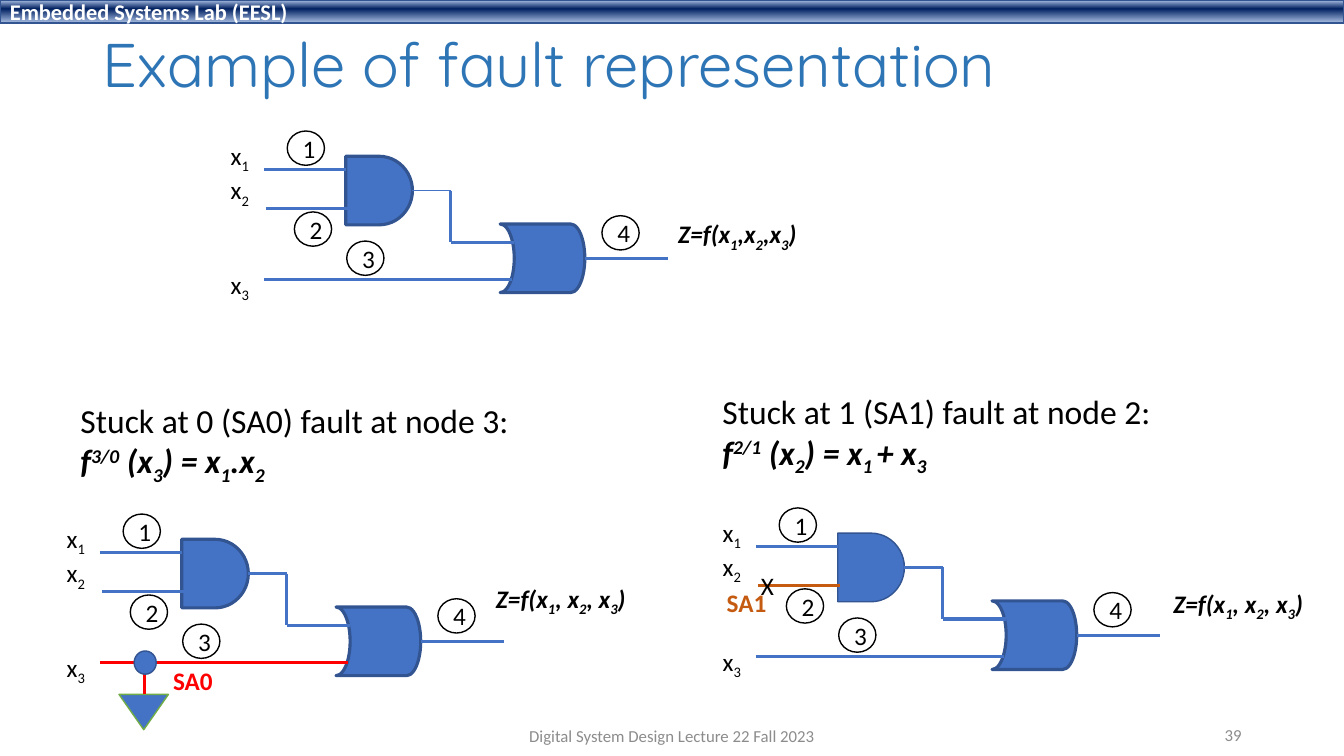
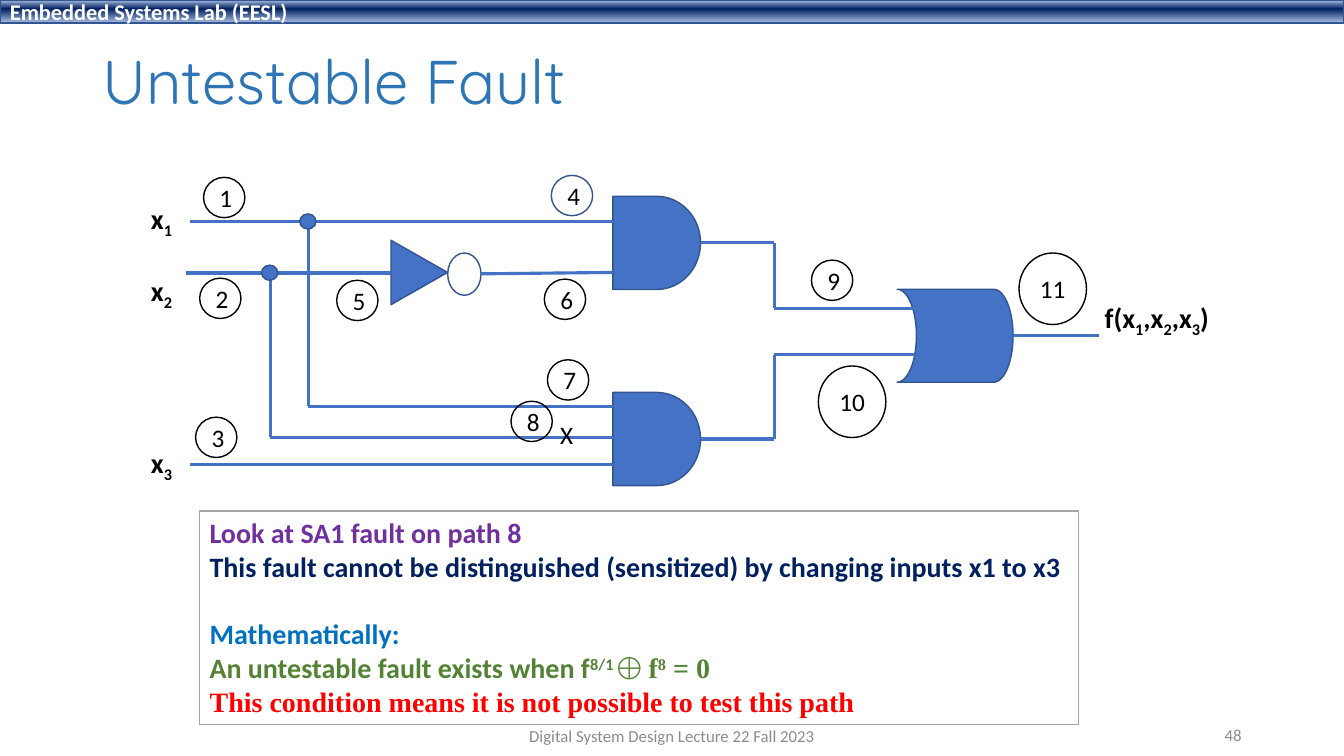
"""Build two slides on stuck-at faults in logic circuits."""
from copy import deepcopy
from dataclasses import dataclass
from itertools import pairwise
from typing import NamedTuple, Optional

from lxml import etree
from pptx import Presentation
from pptx import util as u
from pptx.dml.color import RGBColor
from pptx.enum import dml, shapes, text
from pptx.oxml import ns

Pt = u.Pt
Preset = shapes.MSO_SHAPE
BLUE = RGBColor(0x44, 0x72, 0xC4)
OUTLINE = RGBColor(0x32, 0x54, 0x91)
TITLE_BLUE = RGBColor(0x2E, 0x75, 0xB6)
BLACK = RGBColor(0, 0, 0)
WHITE = RGBColor(0xFF, 0xFF, 0xFF)
RED = RGBColor(0xFF, 0, 0)
ORANGE = RGBColor(0xC5, 0x5A, 0x11)
GREEN = RGBColor(0x54, 0x82, 0x35)
LIGHT_GREEN = RGBColor(0x70, 0xAD, 0x47)
PURPLE = RGBColor(0x70, 0x30, 0xA0)
NAVY = RGBColor(0, 0x20, 0x60)
SKY = RGBColor(0, 0x70, 0xC0)
GREY = RGBColor(0x8C, 0x8C, 0x8C)
FRAME_GREY = RGBColor(0xA5, 0xA5, 0xA5)
BAND_TOP = RGBColor(0xAB, 0xC0, 0xE4)
BAND_BOTTOM = RGBColor(0xAC, 0xC1, 0xE5)
BAND_STOPS = ((0, BAND_TOP), (0.38, NAVY), (1, BAND_BOTTOM))
BODY_FONT, TITLE_FONT, MATH_FONT = "Calibri", "Quicksand", "Times New Roman"
WIDTH, HEIGHT = 960, 540
BASELINES = {"_": "-25000", "^": "30000"}


class Box(NamedTuple):
    """Left, top, width and height in points."""
    left: float
    top: float
    width: float
    height: float

    def lengths(self) -> list:
        """Return the four values as lengths."""
        return [Pt(value) for value in self]


@dataclass(frozen=True)
class Line:
    """A paragraph; "|" parts runs, "_" lowers and "^" raises one."""
    content: str
    size: float = 18
    colour: RGBColor = BLACK
    bold: bool = False
    italic: bool = False
    before: float = 0
    font: str = BODY_FONT
    math_from: Optional[int] = None


@dataclass(frozen=True)
class Circuit:
    """An AND gate feeding an OR gate, placed by the corner of the AND gate."""
    left: float
    top: float
    output: str
    output_left: float
    output_top: float
    output_width: float
    and_outline: float = 2.25
    and_wire: float = 2.25
    wire_2: RGBColor = BLUE
    wire_3: RGBColor = BLUE


CIRCUITS = (
    Circuit(247, 111.6, "Z=f(x|_1|,x|_2|,x|_3|)", 230.4, 41, 103, and_wire=0.5),
    Circuit(129.8, 385.2, "Z=f(x|_1|, x|_2|, x|_3|)", 217.4, 28, 111, wire_3=RED),
    Circuit(598.4, 380.8, "Z=f(x|_1|, x|_2|, x|_3|)", 232.6, 36, 111,
            and_outline=1, wire_2=ORANGE),
)
CIRCUIT_NODES = ((-41.8, -18), (-36.7, 39.8), (0.7, 60.6), (183, 42.5))
NODES = {
    "1": (145.4, 126.7), "2": (142.6, 198.7), "3": (139.7, 298),
    "4": (393.8, 125.3), "5": (240.5, 200.2), "6": (388.8, 199.4),
    "7": (391, 257), "8": (365, 286.6), "9": (579.6, 185.8),
    "10": (584.6, 261.4), "11": (727.9, 180.7),
}


def write(frame, lines: list[Line], align=text.PP_ALIGN.LEFT) -> None:
    """Fill a text frame with formatted lines."""
    for index, line in enumerate(lines):
        paragraph = frame.add_paragraph() if index else frame.paragraphs[0]
        paragraph.alignment = align
        if line.before:
            paragraph.space_before = Pt(line.before)
        font = paragraph.font
        font.name, font.size = line.font, Pt(line.size)
        font.bold, font.italic = line.bold, line.italic
        font.color.rgb = line.colour
        for position, part in enumerate(line.content.split("|")):
            run = paragraph.add_run()
            run.text = part.lstrip("_^")
            if part[0] in BASELINES:
                run._r.get_or_add_rPr().set("baseline", BASELINES[part[0]])
            if line.math_from is not None and position >= line.math_from:
                run.font.name = MATH_FONT


def add_text(slide, box: Box, *lines: Line):
    """Add a text box that fits its unwrapped lines."""
    shape = slide.shapes.add_textbox(*box.lengths())
    write(shape.text_frame, lines)
    shape.text_frame.word_wrap = False
    shape.text_frame.auto_size = text.MSO_AUTO_SIZE.SHAPE_TO_FIT_TEXT
    return shape


def add_shape(slide, preset, box: Box, fill: Optional[RGBColor] = BLUE,
              outline: RGBColor = OUTLINE, weight: float = 1, rotation: float = 0):
    """Add a flat preset shape."""
    shape = slide.shapes.add_shape(preset, *box.lengths())
    shape.shadow.inherit = False
    shape.rotation = rotation
    if fill is None:
        shape.fill.background()
    else:
        shape.fill.solid()
        shape.fill.fore_color.rgb = fill
    shape.line.color.rgb = outline
    shape.line.width = Pt(weight)
    return shape


def add_node(slide, label: str, box: Box, outline: RGBColor = BLACK) -> None:
    """Add a numbered circle."""
    shape = add_shape(slide, Preset.OVAL, box, None, outline)
    shape.text_frame.vertical_anchor = text.MSO_ANCHOR.MIDDLE
    write(shape.text_frame, [Line(label)], text.PP_ALIGN.CENTER)


def add_wire(slide, *points: tuple[float, float], colour: RGBColor = BLUE,
             weight: float = 2.25, gate=None) -> None:
    """Draw straight segments through points, leaving a gate if one is given."""
    for index, (start, end) in enumerate(pairwise(points)):
        connector = slide.shapes.add_connector(
            shapes.MSO_CONNECTOR.STRAIGHT, *(Pt(value) for value in start + end))
        connector.line.color.rgb = colour
        connector.line.width = Pt(weight)
        etree.SubElement(connector.element.spPr, ns.qn("a:effectLst"))
        if gate is not None and index == 0:
            connector.begin_connect(gate, 3)


def add_band(slide) -> None:
    """Add the header band with its vertical gradient."""
    band = add_shape(slide, Preset.RECTANGLE, Box(0, 0, WIDTH, 16.6))
    band.fill.gradient()
    band.fill.gradient_angle = 270
    stop_list = band.element.spPr.find(f".//{ns.qn('a:gsLst')}")
    stop_list.append(deepcopy(stop_list[-1]))
    for stop, (position, colour) in zip(band.fill.gradient_stops, BAND_STOPS):
        stop.position = position
        stop.color.rgb = colour
    band.text_frame.vertical_anchor = text.MSO_ANCHOR.MIDDLE
    write(band.text_frame, [Line("Embedded Systems Lab (EESL)", 16, WHITE, True)])


def add_footer(slide, box: Box, content: str, align) -> None:
    """Add a grey footer text."""
    frame = slide.shapes.add_textbox(*box.lengths()).text_frame
    frame.word_wrap = True
    frame.vertical_anchor = text.MSO_ANCHOR.MIDDLE
    write(frame, [Line(content, 12, GREY)], align)


def start_slide(presentation, title: str, box: Box, number: str):
    """Add a slide with band, title and footers."""
    slide = presentation.slides.add_slide(presentation.slide_layouts[5])
    add_band(slide)
    heading = slide.shapes.title
    heading.left, heading.top, heading.width, heading.height = box.lengths()
    frame = heading.text_frame
    frame.auto_size = text.MSO_AUTO_SIZE.NONE
    frame.vertical_anchor = text.MSO_ANCHOR.MIDDLE
    write(frame, [Line(title, 44, TITLE_BLUE, font=TITLE_FONT)])
    frame.paragraphs[0].line_spacing = 0.9
    add_footer(slide, Box(318, 511, 324, 28.8),
               "Digital System Design Lecture 22 Fall 2023", text.PP_ALIGN.CENTER)
    add_footer(slide, Box(678, 510.5, 216, 28.8), number, text.PP_ALIGN.RIGHT)
    return slide


def draw_circuit(slide, circuit: Circuit) -> None:
    """Draw one AND-OR circuit with its labels."""
    def at(left: float, top: float) -> tuple[float, float]:
        return circuit.left + left, circuit.top + top

    gate = add_shape(slide, Preset.FLOWCHART_DELAY, Box(*at(0, 0), 47.6, 49),
                     weight=circuit.and_outline)
    add_shape(slide, Preset.FLOWCHART_STORED_DATA, Box(*at(110.2, 48.4), 60.5, 49),
              weight=2.25, rotation=180)
    add_wire(slide, at(-58.3, 9.4), at(0, 9.4))
    add_wire(slide, at(-57, 37.6), at(1.4, 37.6), colour=circuit.wire_2)
    add_wire(slide, at(47.6, 24.5), at(75, 24.5), weight=circuit.and_wire, gate=gate)
    add_wire(slide, at(75, 24.5), at(75, 61.4), at(120, 61.4))
    add_wire(slide, at(-58.3, 88), at(119, 88), colour=circuit.wire_3)
    add_wire(slide, at(170.7, 73), at(230.5, 73))
    add_text(slide, Box(*at(-89.3, -15), 28.8, 116.6),
             Line("x|_1"), Line("x|_2"), Line("x|_3", before=43))
    for number, corner in enumerate(CIRCUIT_NODES, 1):
        add_node(slide, str(number), Box(*at(*corner), 26.6, 24.5))
    add_text(slide, Box(*at(circuit.output_left, circuit.output_top),
                        circuit.output_width, 28.8),
             Line(circuit.output, bold=True, italic=True))


def build_representation(presentation) -> None:
    """Build the slide on fault representation."""
    slide = start_slide(presentation, "Example of fault representation",
                        Box(66, 12.2, 828, 72), "39")
    for circuit in CIRCUITS:
        draw_circuit(slide, circuit)
    faults = (
        (50.4, 282.2, "Stuck at 0 (SA0) fault at node 3:",
         "f|^3/0| (x|_3|) = x|_1|.x|_2"),
        (509, 275.8, "Stuck at 1 (SA1) fault at node 2:",
         "f|^2/1| (x|_2|) = x|_1 |+ x|_3"),
    )
    for left, top, heading, formula in faults:
        add_text(slide, Box(left, top, 322.6, 65.5), Line(heading, 24),
                 Line(formula, 24, bold=True, italic=True))
    ground = add_shape(slide, Preset.ISOSCELES_TRIANGLE, Box(85, 496, 35.3, 25.2),
                       outline=LIGHT_GREEN, rotation=180)
    ground.fill.patterned()
    ground.fill.pattern = dml.MSO_PATTERN.DARK_HORIZONTAL
    ground.fill.fore_color.rgb = BLUE
    ground.fill.back_color.rgb = WHITE
    add_wire(slide, (103, 496), (103, 473.8), colour=RED)
    add_shape(slide, Preset.OVAL, Box(95.8, 465, 15.8, 16.6))
    add_text(slide, Box(116.6, 471.6, 43.2, 28.8), Line("SA0", colour=RED, bold=True))
    add_text(slide, Box(536.4, 404, 23.8, 28.8), Line("X"))
    add_text(slide, Box(512, 416.2, 43.2, 28.8), Line("SA1", colour=ORANGE, bold=True))


def build_untestable(presentation) -> None:
    """Build the slide on an untestable fault."""
    slide = start_slide(presentation, "Untestable Fault",
                        Box(66, 28.8, 828, 62.6), "48")
    upper, lower = (
        add_shape(slide, Preset.FLOWCHART_DELAY, Box(437.8, top, 62.6, 66.6))
        for top in (140.2, 280.3))
    add_shape(slide, Preset.FLOWCHART_STORED_DATA, Box(640.8, 206.6, 82.8, 66.4),
              rotation=180)
    add_shape(slide, Preset.ISOSCELES_TRIANGLE, Box(276.5, 174.4, 46, 40.4),
              rotation=90)
    add_shape(slide, Preset.OVAL, Box(319.8, 180.7, 23.8, 30.2), None)
    add_wire(slide, (343.6, 195.6), (437.8, 194.6))
    add_wire(slide, (133.2, 195), (279.4, 195))
    for height in (158.4, 332):
        add_wire(slide, (136, height), (437.8, height))
    for left, top, bottom in ((220.3, 158.4, 290.2), (193, 195, 312.5)):
        add_wire(slide, (left, top), (left, bottom), (437.8, bottom))
        add_shape(slide, Preset.OVAL, Box(left - 6.2, top - 5.6, 11.6, 10.8))
    for gate, middle, entry in ((upper, 173.5, 220.3), (lower, 313.6, 253.4)):
        add_wire(slide, (500.4, middle), (553, middle), (553, entry),
                 (653.8, entry), gate=gate)
    add_wire(slide, (723.6, 239.8), (784.8, 239.8))
    add_text(slide, Box(782, 211, 92.2, 31.7),
             Line("f(x|_1|,x|_2|,x|_3|)", 20, bold=True))
    for label, corner in NODES.items():
        size = (48.2, 51.1) if len(label) > 1 else (29.5, 28.8)
        add_node(slide, label, Box(*corner, *size), OUTLINE if label == "4" else BLACK)
    add_text(slide, Box(100.8, 140.4, 31, 225.4), *(
        Line(f"x|_{number}", 20, bold=True, before=gap)
        for number, gap in ((1, 0), (2, 24), (3, 96))))
    note = add_text(
        slide, Box(142.6, 365, 627.8, 152.6),
        Line("Look at SA1 fault on path 8", 20, PURPLE, True),
        Line("This fault cannot be distinguished (sensitized) by changing inputs x1 to x3",
             20, NAVY, True),
        Line("Mathematically:", 20, SKY, True, before=24),
        Line("An untestable fault exists when f|^8/1 |⨁ f|^8| = 0", 20, GREEN, True,
             math_from=2),
        Line("This condition means it is not possible to test this path", 20, RED, True,
             font=MATH_FONT))
    note.fill.solid()
    note.fill.fore_color.rgb = WHITE
    note.line.color.rgb = FRAME_GREY
    note.line.width = Pt(1)
    add_text(slide, Box(393, 296, 23.8, 28.8), Line("X"))


def main() -> None:
    """Create and save the presentation."""
    presentation = Presentation()
    presentation.slide_width, presentation.slide_height = Pt(WIDTH), Pt(HEIGHT)
    build_representation(presentation)
    build_untestable(presentation)
    presentation.save("out.pptx")


if __name__ == "__main__":
    main()
